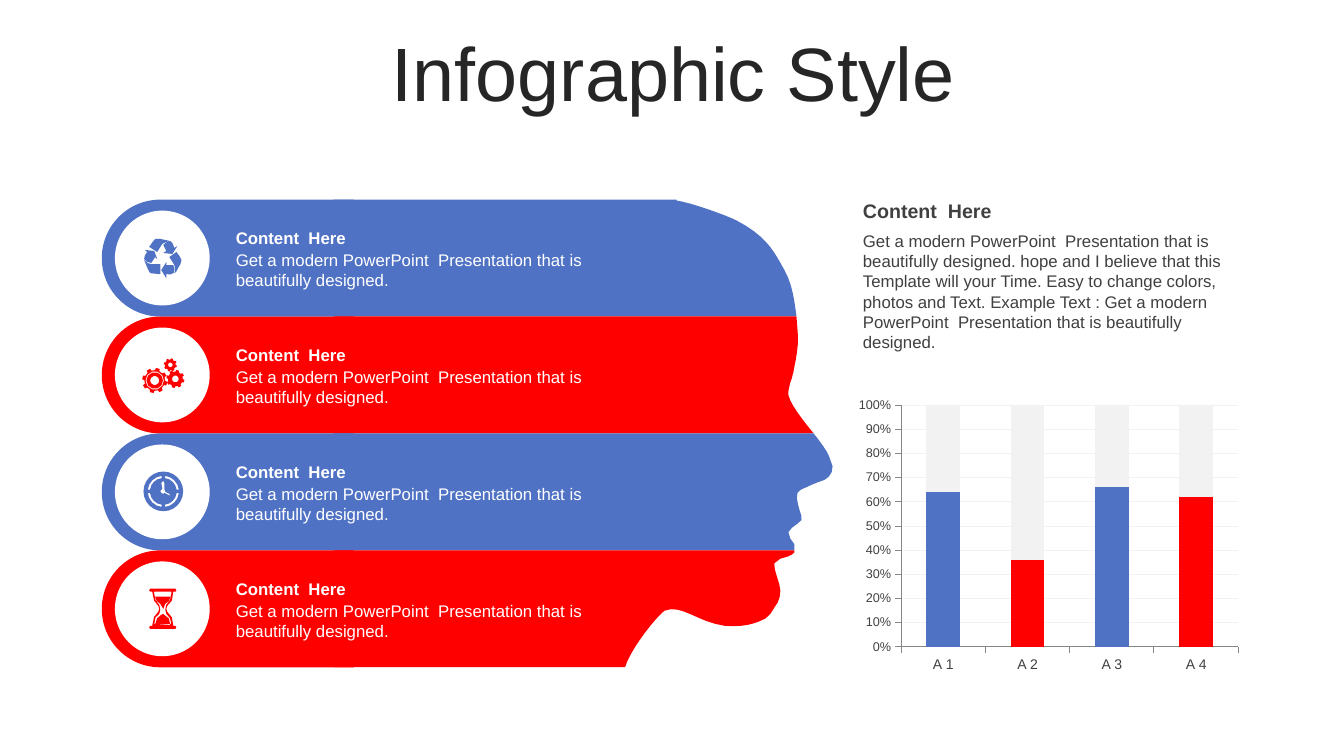
from dataclasses import dataclass
from itertools import chain
from math import ceil, cos, dist, pi, sin

from pptx import Presentation
from pptx import util as u
from pptx.chart.data import CategoryChartData
from pptx.dml.color import RGBColor
from pptx.enum import chart as ch
from pptx.enum import shapes, text

Point = tuple[float, float]
Contours = list[list[Point]]

BLUE, RED, WHITE, GREY, DARK, PALE = "5072C4", "FF0000", "FFFFFF", "404040", "262626", "F2F2F2"
TOP, ROW, LEFT = 1.98, 1.16, 1.01
HEADING = "Content  Here"
BLURB = "Get a modern PowerPoint  Presentation that is beautifully designed."
STORY = ("Get a modern PowerPoint  Presentation that is beautifully designed. hope and I believe "
         "that this Template will your Time. Easy to change colors, photos and Text. Example Text : "
         "Get a modern PowerPoint  Presentation that is beautifully designed.")

FOREHEAD = """M 331 198 L 671 198 671 199 C 685 201 719 213 731 219 C 761 235 768 250 778 268
C 786 282 788 299 790 314 L 331 314"""
BROW = """M 331 314 L 790 314 791 326 C 793 343 789 358 787 369 C 785 379 784 376 782 388
C 780 396 794 414 807 430 L 331 430"""
NOSE = """M 331 430 L 807 430 C 814 439 820 447 822 452 C 829 466 825 468 822 473
C 820 477 810 478 805 481 C 800 484 793 485 791 489 C 789 493 792 502 793 506
C 793 511 797 512 795 516 C 793 519 783 524 782 528 C 780 532 787 537 788 540
L 788 546 331 546"""
CHIN = """M 331 546 L 788 546 788 548 C 787 550 785 550 782 552 C 778 554 769 554 768 559
C 767 565 774 579 774 586 C 774 593 772 598 768 603 C 765 609 760 615 752 617
C 744 620 735 622 719 621 C 691 617 676 599 659 606 C 649 614 625 645 620 662 L 331 662"""
RECYCLE = """M -5 1 L -7 -1 -11 5 C -14 5 -16 3 -18 1 C -19 -1 -16 -4 -15 -6 L -17 -8 -8 -7
M 7 -17 C 3 -16 2 -15 0 -14 L -5 -6 -13 -11 C -11 -14 -9 -17 -7 -19 C -4 -20 -3 -19 7 -17
M -2 16 C -6 15 -10 16 -12 15 C -14 13 -14 11 -18 2 C -15 5 -13 6 -11 6 L -2 6
M 15 -12 L 10 -4 1 -5 4 -7 1 -13 C 2 -15 5 -16 8 -17 C 10 -17 11 -12 12 -10
M 11 15 C 10 17 6 16 4 16 L 4 20 -1 12 4 4 4 7 11 7 C 12 9 12 12 12 15
M 18 6 C 17 8 15 11 13 15 C 13 11 12 9 12 7 L 7 -1 14 -6 C 16 -3 19 0 19 2 L 18 6"""
HANDS = "M 1 -11 L -1 -9 0 -3 -2 -1 -1 1 1 2 2 1 6 3 8 4 7 2 3 0 2 -3 2 -9"
HOURGLASS = """M 1 5 L 2 6 C 6 7 8 11 8 16 L -7 15 C -7 11 -4 7 -1 6
M -7 -12 L 8 -12 C 8 -9 6 -6 3 -5 L 1 0 -2 -5 C -5 -6 -7 -9 -7 -12
M -8 -17 L -8 -15 C -8 -10 -6 -6 -3 -4 L -2 1 -3 5 C -6 6 -8 10 -8 15
L 9 15 C 9 11 7 7 4 5 L 3 1 4 -4 C 7 -6 9 -10 9 -15 L 9 -17
M -12 -20 L 13 -20 14 -18 13 -17 11 -17 C 11 -10 9 -5 5 -3 L 4 0 5 3
C 9 6 11 10 11 17 L 13 17 14 18 13 20 -12 20 -13 18 -12 17 -10 17
C -10 10 -7 5 -4 3 L -3 0 -4 -3 C -7 -5 -10 -10 -10 -17 L -12 -17 -13 -18"""


@dataclass
class Band:
    color: str
    profile: str
    icon: Contours


def trace(outline: str) -> Contours:
    """Turn move, line and curve commands into closed contours."""
    contours: Contours = []
    command, pending = "", []
    for token in outline.split():
        if token in "MLC":
            command = token
            continue
        pending.append(float(token))
        if len(pending) < (6 if command == "C" else 2):
            continue
        pts = list(zip(pending[::2], pending[1::2]))
        pending = []
        if command == "M":
            contours.append(pts)
        elif command == "L":
            contours[-1] += pts
        else:
            ctrl = [contours[-1][-1], *pts]
            steps = max(2, ceil(dist(ctrl[0], ctrl[3]) / 8))
            for t in (n / steps for n in range(1, steps + 1)):
                weights = ((1 - t) ** 3, 3 * t * (1 - t) ** 2, 3 * t * t * (1 - t), t ** 3)
                contours[-1].append(tuple(sum(w * c[k] for w, c in zip(weights, ctrl)) for k in (0, 1)))
    return contours


def arc(x: float, y: float, radius: float, steps: int, start: float = 0, end: float = 2 * pi) -> list[Point]:
    """Sample a circular arc."""
    angles = (start + (end - start) * n / steps for n in range(steps + 1))
    return [(x + radius * cos(a), y + radius * sin(a)) for a in angles]


def gear(x: float, y: float, tip: float, rings: list[float]) -> Contours:
    """Build an eight-toothed wheel with ring cut-outs."""
    corners = ((0.82, -0.22), (1, -0.15), (1, 0.15), (0.82, 0.22))
    teeth = [(x + tip * r * cos(a), y + tip * r * sin(a))
             for n in range(8) for r, s in corners for a in [n * pi / 4 + 0.25 + s]]
    return [teeth, *(arc(x, y, r, 10) for r in rings)]


def clock() -> Contours:
    """Build a clock face with four ring cut-outs and hands."""
    slots = [arc(1, -0.5, 15.5, 4, a, b) + arc(1, -0.5, 13.3, 4, b, a)
             for n in range(4) for a, b in [(n * pi / 2 + 0.12, (n + 1) * pi / 2 - 0.12)]]
    return [arc(1, -0.5, 19.7, 24), *slots, *trace(HANDS)]


def rgb(color: str) -> RGBColor:
    """Convert a hex string to a colour."""
    return RGBColor.from_string(color)


def paint(sp, color: str) -> None:
    """Give a shape a flat fill without line or shadow."""
    sp.shadow.inherit = False
    sp.fill.solid()
    sp.fill.fore_color.rgb = rgb(color)
    sp.line.fill.background()


def draw(slide, contours: Contours, color: str, x: float = 0, y: float = 0) -> None:
    """Draw contours given in hundredths of an inch from a point."""
    placed = [[(u.Inches(x + px / 100), u.Inches(y + py / 100)) for px, py in c] for c in contours]
    fb = slide.shapes.build_freeform(*placed[0][0])
    for n, pts in enumerate(placed):
        if n:
            fb.move_to(*pts[0])
        fb.add_line_segments(pts[1:], close=True)
    paint(fb.convert_to_shape(), color)


def preset(slide, kind, x: float, y: float, w: float, h: float, color: str):
    """Add a flat preset shape around a centre."""
    sp = slide.shapes.add_shape(kind, *map(u.Inches, (x - w / 2, y - h / 2, w, h)))
    paint(sp, color)
    return sp


def style(font, size: float, color: str, bold: bool = False) -> None:
    """Format a font."""
    font.name, font.size, font.bold = "Arial", u.Pt(size), bold
    font.color.rgb = rgb(color)


def write(slide, words: str, x: float, y: float, h: float, size: float, color: str,
          bold: bool = False) -> None:
    """Add a wrapped text box; headings are bold and centred vertically."""
    tf = slide.shapes.add_textbox(*map(u.Inches, (x, y, 3.92, h))).text_frame
    tf.word_wrap, tf.auto_size = True, text.MSO_AUTO_SIZE.SHAPE_TO_FIT_TEXT
    tf.vertical_anchor = text.MSO_ANCHOR.MIDDLE if bold else text.MSO_ANCHOR.TOP
    tf.text = words
    style(tf.paragraphs[0].runs[0].font, size, color, bold)


def add_title(slide) -> None:
    """Place and format the title."""
    sp = slide.shapes.title
    sp.left, sp.top, sp.width, sp.height = map(u.Inches, (0.35, 0.37, 12.66, 0.79))
    tf = sp.text_frame
    tf.text = "Infographic Style"
    tf.auto_size, tf.vertical_anchor = text.MSO_AUTO_SIZE.NONE, text.MSO_ANCHOR.MIDDLE
    p = tf.paragraphs[0]
    p.alignment, p.line_spacing, p.space_before = text.PP_ALIGN.CENTER, 0.9, u.Pt(10)
    style(p.runs[0].font, 54, DARK)


def add_band(slide, row: int, band: Band) -> None:
    """Draw one slice of the head with its icon and text."""
    top = TOP + row * ROW
    middle = top + ROW / 2
    pill = preset(slide, shapes.MSO_SHAPE.ROUND_2_SAME_RECTANGLE, LEFT + 1.25, middle, ROW, 2.5, band.color)
    pill.adjustments[0], pill.adjustments[1], pill.rotation = 0.5, 0, 270
    draw(slide, trace(band.profile), band.color)
    preset(slide, shapes.MSO_SHAPE.OVAL, LEFT + 0.6, middle, 0.94, 0.94, WHITE)
    draw(slide, band.icon, band.color, LEFT + 0.6, middle)
    write(slide, HEADING, 2.24, top + 0.23, 0.3, 12, WHITE, True)
    write(slide, BLURB, 2.24, top + 0.45, 0.5, 12, WHITE)


def add_columns(slide) -> None:
    """Add the stacked percentage chart."""
    data = CategoryChartData()
    data.categories = ["A 1", "A 2", "A 3", "A 4"]
    shares = (64, 36, 66, 62)
    data.add_series("Series 1", shares)
    data.add_series("Series 2", [100 - s for s in shares])
    chart = slide.shapes.add_chart(ch.XL_CHART_TYPE.COLUMN_STACKED_100,
                                   *map(u.Inches, (8.44, 3.89, 3.92, 2.84)), data).chart
    chart.has_legend = chart.has_title = False
    style(chart.font, 11, "000000")
    plot = chart.plots[0]
    plot.gap_width, plot.overlap, plot.vary_by_categories = 150, 100, False
    first, rest = plot.series
    points = [(first.points[n], c) for n, c in enumerate((BLUE, RED) * 2)]
    for part, color in chain([(first, "BA3C2E"), (rest, PALE)], points):
        part.format.fill.solid()
        part.format.fill.fore_color.rgb = rgb(color)
    for axis, size in ((chart.category_axis, 10), (chart.value_axis, 9)):
        style(axis.tick_labels.font, size, GREY)
        axis.major_tick_mark = ch.XL_TICK_MARK.OUTSIDE
        axis.format.line.color.rgb = rgb("868686")
    axis = chart.value_axis
    axis.tick_labels.number_format, axis.tick_labels.number_format_is_linked = "0%", False
    axis.major_gridlines.format.line.color.rgb = rgb(PALE)
    axis.major_gridlines.format.line.width = u.Pt(0.75)


def main() -> None:
    """Build the slide."""
    prs = Presentation()
    prs.slide_width, prs.slide_height = u.Inches(13.33), u.Inches(7.5)
    slide = prs.slides.add_slide(prs.slide_layouts[5])
    add_title(slide)
    gears = gear(-7.5, 5.5, 12.5, [9.2, 8.2, 4.5]) + gear(13, 4, 9, [3.4]) + gear(8, -10, 6.5, [2.3])
    bands = [Band(BLUE, FOREHEAD, trace(RECYCLE)), Band(RED, BROW, gears),
             Band(BLUE, NOSE, clock()), Band(RED, CHIN, trace(HOURGLASS))]
    for row, band in enumerate(bands):
        add_band(slide, row, band)
    write(slide, HEADING, 8.46, 1.92, 0.34, 14, GREY, True)
    write(slide, STORY, 8.46, 2.24, 1.31, 12, GREY)
    add_columns(slide)
    prs.save("out.pptx")


if __name__ == "__main__":
    main()
